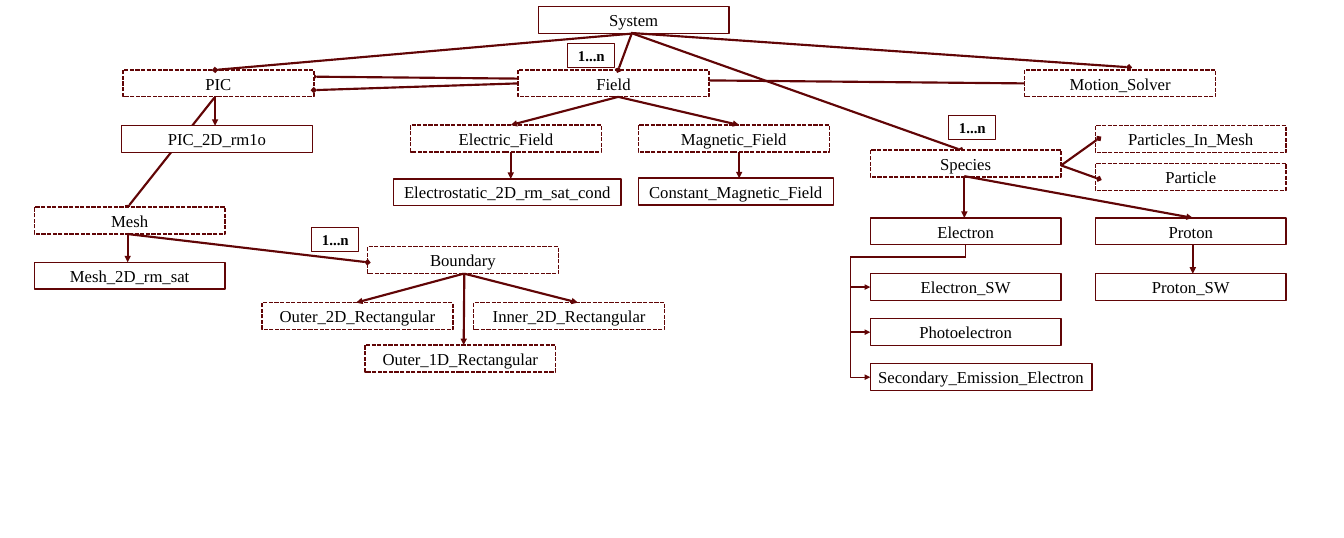
from lxml.etree import SubElement
from pptx import Presentation
from pptx.dml.color import RGBColor
from pptx.enum.dml import MSO_LINE
from pptx.enum.shapes import MSO_CONNECTOR, MSO_SHAPE
from pptx.enum.text import MSO_ANCHOR, MSO_AUTO_SIZE, PP_ALIGN
from pptx.oxml.ns import qn
from pptx.util import Pt

rgb = RGBColor.from_string
MAROON = "610506"
BOX_W, BOX_H = 204.5, 28.8

prs = Presentation()
prs.slide_width, prs.slide_height = Pt(1440), Pt(576)
s = prs.slides.add_slide(prs.slide_layouts[6])


def add_box(text, x, y, w=BOX_W, h=BOX_H, dashed=False, size=17.9, bold=False,
            line=1.5, inset=(8, 4.3), wrap=False, anchor=MSO_ANCHOR.MIDDLE,
            fit=MSO_AUTO_SIZE.NONE):
    sp = s.shapes.add_shape(MSO_SHAPE.RECTANGLE, Pt(x), Pt(y), Pt(w), Pt(h))
    sp.shadow.inherit = False
    sp.fill.solid()
    sp.fill.fore_color.rgb = rgb("FFFFFF")
    sp.line.color.rgb = rgb(MAROON)
    sp.line.width = Pt(line)
    if dashed:
        sp.line.dash_style = MSO_LINE.SQUARE_DOT
    tf = sp.text_frame
    tf.margin_left = tf.margin_right = Pt(inset[0])
    tf.margin_top = tf.margin_bottom = Pt(inset[1])
    tf.word_wrap, tf.auto_size, tf.vertical_anchor = wrap, fit, anchor
    p = tf.paragraphs[0]
    p.alignment = PP_ALIGN.CENTER
    r = p.add_run()
    r.text = text
    r.font.name, r.font.size, r.font.bold = "Times New Roman", Pt(size), bold
    r.font.color.rgb = rgb("000000")


def add_arrow(x1, y1, x2, y2, head, kind=MSO_CONNECTOR.STRAIGHT, width=2.3):
    c = s.shapes.add_connector(kind, Pt(x1), Pt(y1), Pt(x2), Pt(y2))
    c.line.color.rgb = rgb(MAROON)
    c.line.width = Pt(width)
    SubElement(c.line._get_or_add_ln(), qn("a:tailEnd"), type=head)
    SubElement(c._element.spPr, qn("a:effectLst"))
    return c


for ends in [
    (230.4, 103.7, 136.8, 221.8),
    (676.1, 35.3, 1029.6, 160.6),
    (1098, 89.3, 336.2, 82.1),
]:
    add_arrow(*ends, "diamond")

for text, x, y in [
    ("Mesh", 36.7, 221.8),
    ("PIC", 131.8, 74.9),
    ("Field", 555.1, 74.9),
    ("Motion_Solver", 1098, 74.9),
    ("Electric_Field", 439.9, 133.9),
    ("Magnetic_Field", 684, 133.9),
    ("Species", 932.4, 160.6),
    ("Particles_In_Mesh", 1173.6, 134.6),
    ("Particle", 1173.6, 175),
    ("Boundary", 393.8, 264.2),
    ("Outer_2D_Rectangular", 280.8, 324),
    ("Inner_2D_Rectangular", 507.6, 324),
    ("Outer_1D_Rectangular", 391, 369.4),
]:
    add_box(text, x, y, dashed=True)

for text, x, y, w in [
    ("System", 576.7, 7.2, BOX_W),
    ("Mesh_2D_rm_sat", 36.7, 280.8, BOX_W),
    ("PIC_2D_rm1o", 130.3, 134.6, BOX_W),
    ("Electrostatic_2D_rm_sat_cond", 421.9, 191.5, 243.4),
    ("Constant_Magnetic_Field", 684, 190.8, 208.8),
    ("Electron", 932.4, 233.3, BOX_W),
    ("Proton", 1173.6, 233.3, BOX_W),
    ("Proton_SW", 1173.6, 293, BOX_W),
]:
    add_box(text, x, y, w)

for ends in [
    (676.8, 36, 230.4, 74.9),
    (676.8, 36, 662.4, 74.9),
    (676.1, 35.3, 1209.6, 72),
    (555.1, 89.3, 336.2, 96.5),
    (136.8, 250.6, 393.8, 280.8),
    (1136.9, 177.1, 1177.2, 148.3),
    (1136.9, 177.1, 1177.2, 191.5),
]:
    add_arrow(*ends, "diamond")

for ends in [
    (230.4, 103, 230.4, 134.6),
    (136.8, 249.1, 136.8, 280.8),
    (662.4, 103.7, 547.2, 133.9),
    (662.4, 103.7, 792, 133.9),
    (496.8, 293, 381.6, 324),
    (497.5, 293, 619.2, 324),
    (497.5, 293, 496.8, 369.4),
    (547.2, 162.7, 547.2, 191.5),
    (792, 162.7, 792, 190.8),
    (1033.2, 189.4, 1033.2, 233.3),
    (1033.2, 188.6, 1278, 233.3),
    (1278, 262.1, 1278, 293),
]:
    add_arrow(*ends, "triangle")

for x, y in [(334.1, 243.4), (608.4, 46.8), (1016.6, 123.1)]:
    add_box("1...n", x, y, 50.4, 25.9, size=16, bold=True, line=0.79,
            inset=(7.2, 3.6), wrap=True, anchor=MSO_ANCHOR.TOP,
            fit=MSO_AUTO_SIZE.SHAPE_TO_FIT_TEXT)

stem_x, stem_y, child_x = 1034.6, 262.1, 932.4
bend_drop, bend_left = 13, 21.4
reach = stem_x - child_x
for i, (text, w) in enumerate([
    ("Electron_SW", BOX_W),
    ("Photoelectron", BOX_W),
    ("Secondary_Emission_Electron", 237.6),
]):
    y = 293 + i * 48.24
    add_box(text, child_x, y, w)
    drop = y + BOX_H / 2 - stem_y
    left = (stem_x + child_x - drop) / 2
    top = stem_y + (drop - reach) / 2
    c = add_arrow(left, top, left + drop, top + reach, "triangle",
                  MSO_CONNECTOR.ELBOW, 1.5)
    c._element.spPr.find(qn("a:xfrm")).set("rot", "5400000")
    geom = c._element.spPr.find(qn("a:prstGeom"))
    geom.set("prst", "bentConnector4")
    guides = geom.find(qn("a:avLst"))
    for name, ratio in [("adj1", bend_drop / drop), ("adj2", 1 + bend_left / reach)]:
        SubElement(guides, qn("a:gd"), name=name, fmla=f"val {round(ratio * 100000)}")

prs.save("out.pptx")
